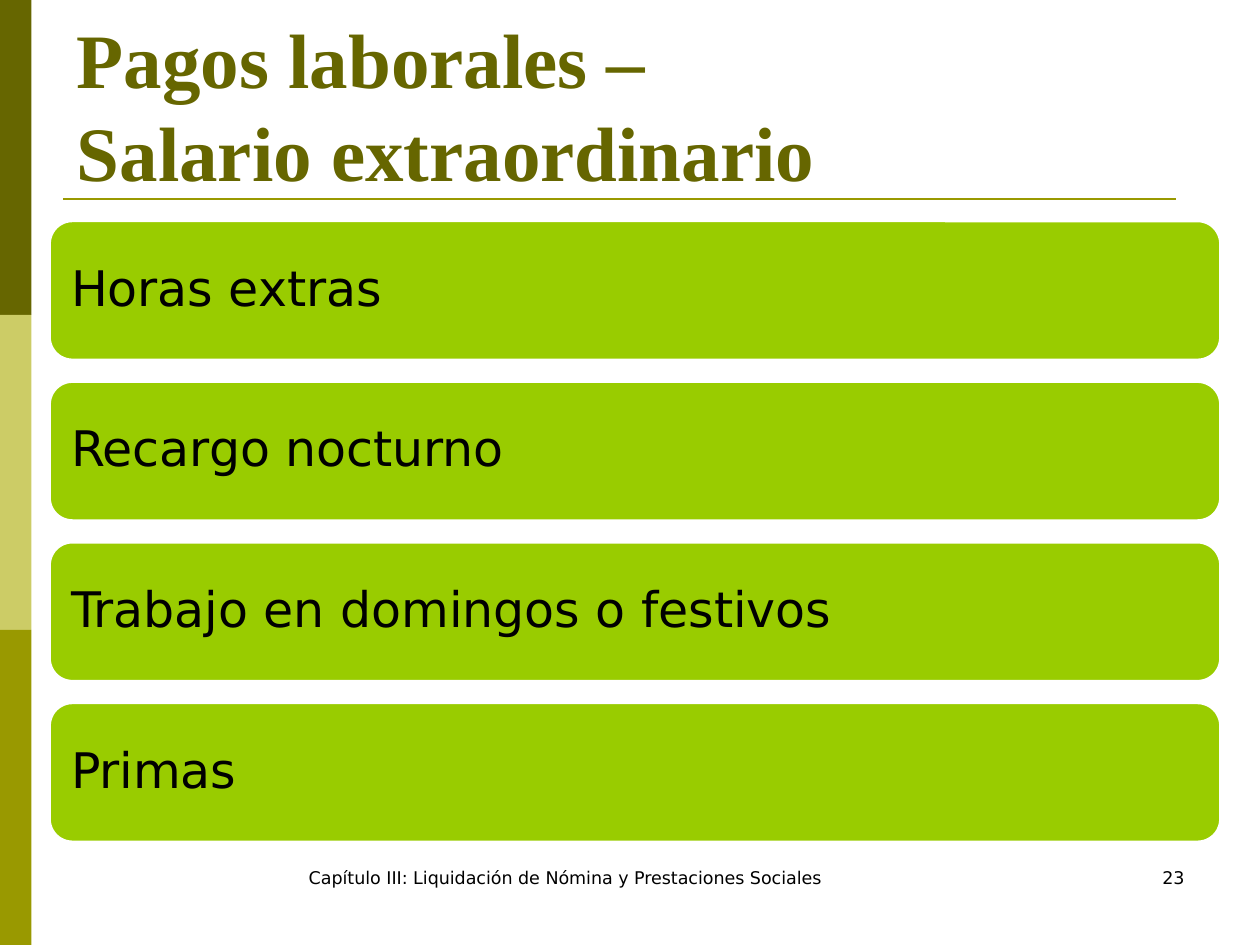
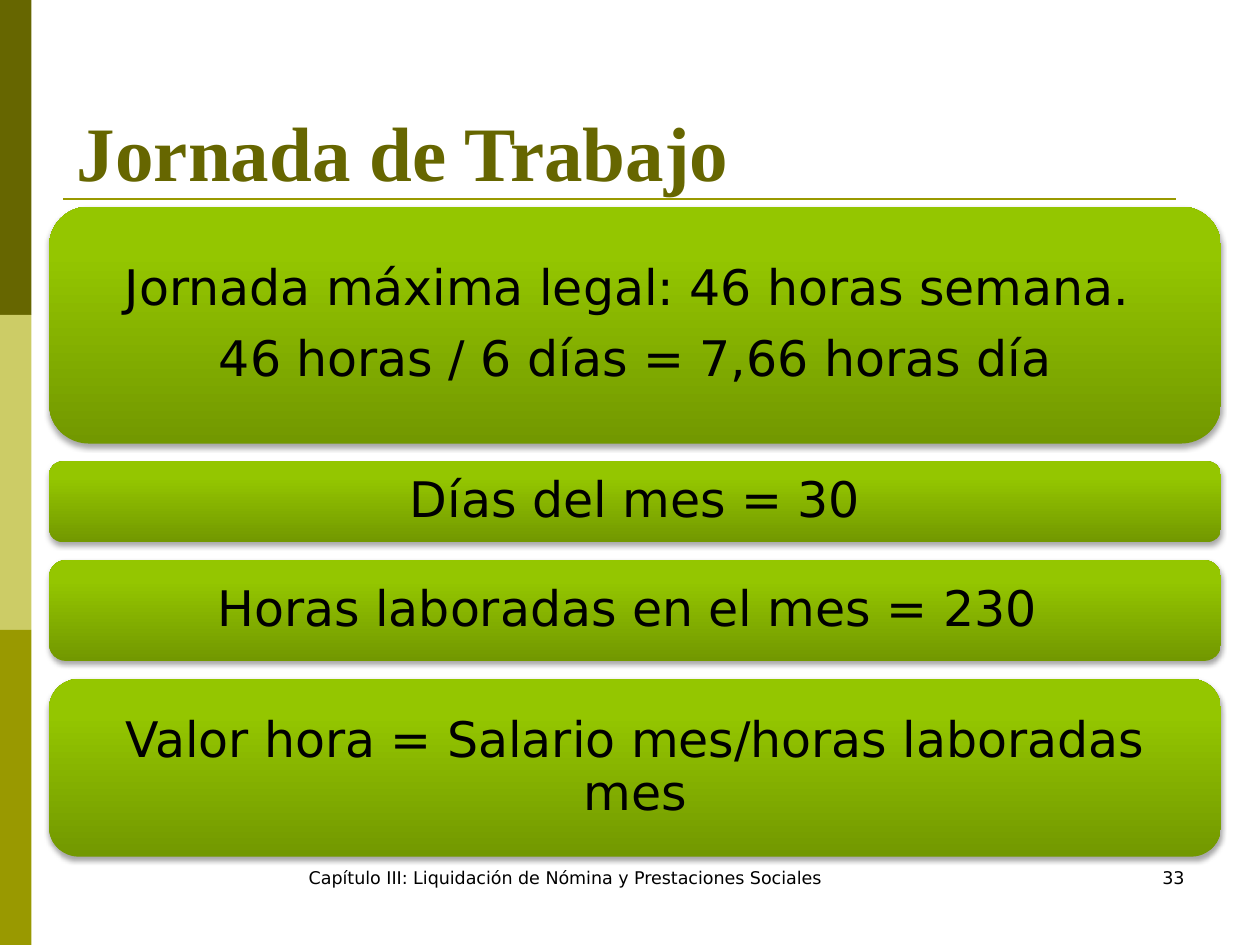
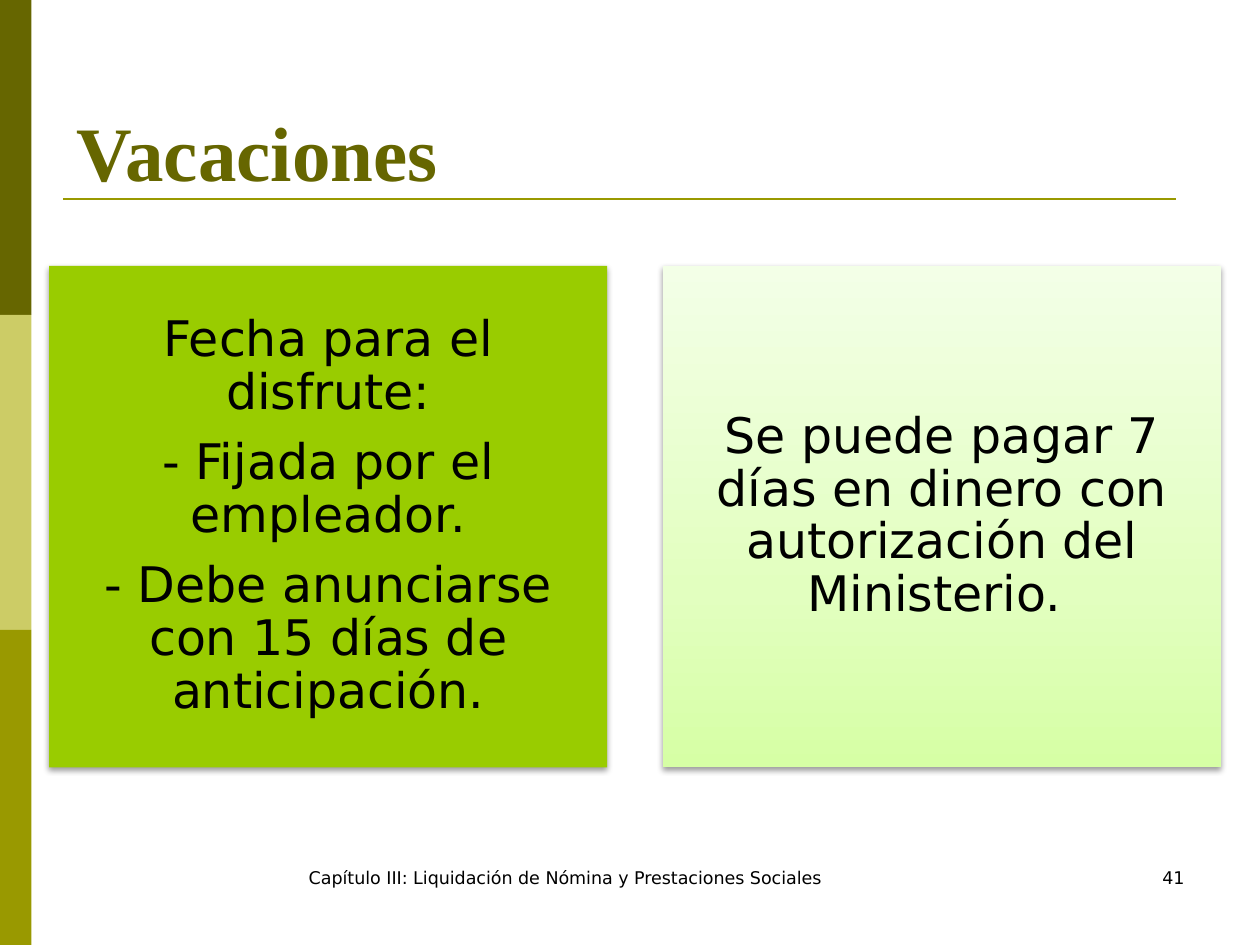
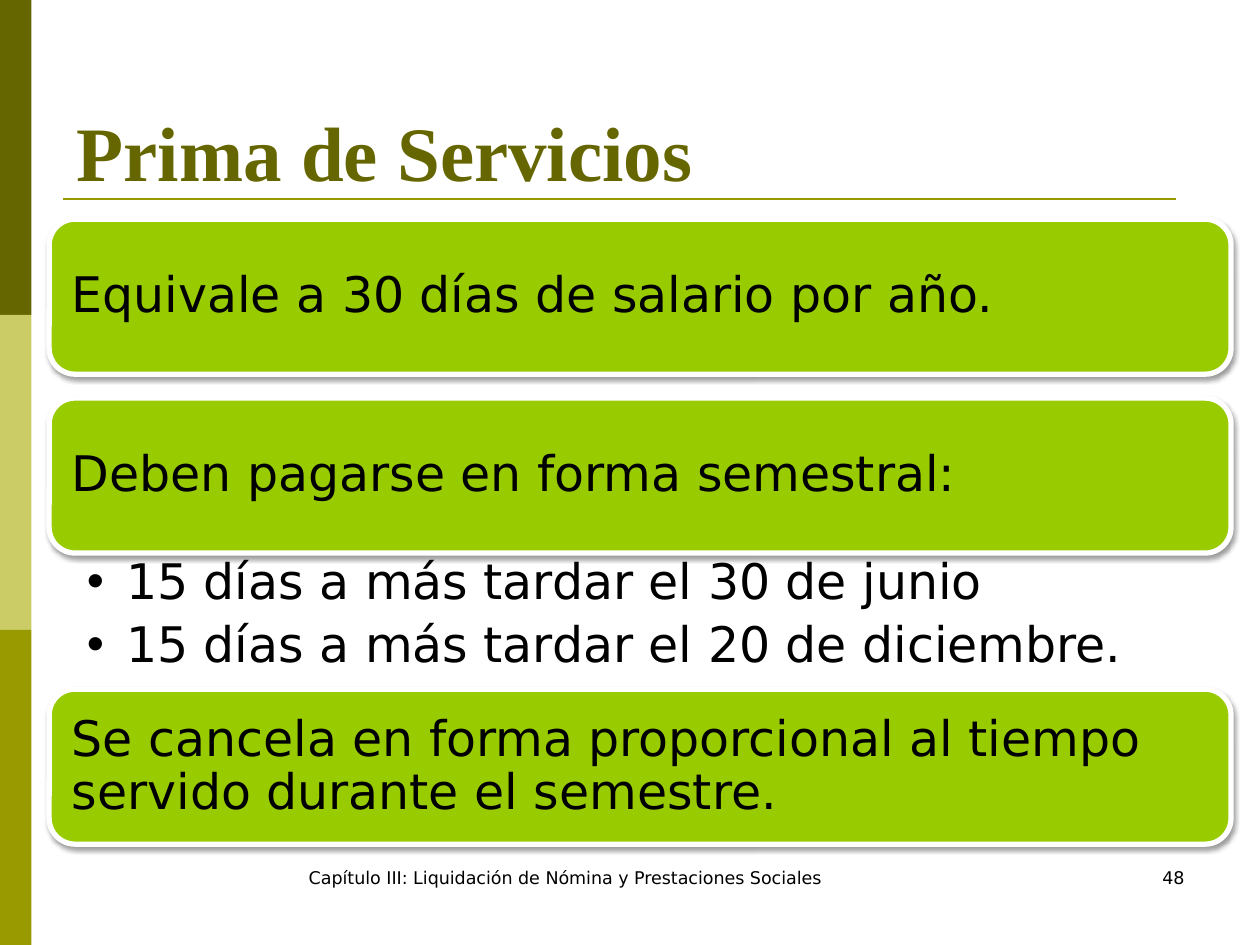
from lxml.etree import SubElement
from pptx import Presentation
from pptx.dml.color import RGBColor
from pptx.enum.shapes import MSO_CONNECTOR, MSO_SHAPE
from pptx.enum.text import MSO_ANCHOR, MSO_AUTO_SIZE, PP_ALIGN
from pptx.oxml.ns import qn
from pptx.util import Inches, Pt

HUES = {
    "dark": "666600", "pale": "CCCC66", "olive": "999900",
    "lime": "99CC00", "white": "FFFFFF", "black": "000000",
}
FADES = {
    "moss": [(0, "729800"), (80, "94C600"), (100, "95C700")],
    "mint": [(0, "D6FFA5"), (35, "E2FFBF"), (100, "F3FFE7")],
}
SANS, SERIF = "DejaVu Sans", "Times New Roman"
LEFT, WIDE = 3.9, 93
FOOTER = "Capítulo III: Liquidación de Nómina y Prestaciones Sociales"


class Deck:
    def __init__(self):
        self.show = Presentation()
        self.show.slide_width, self.show.slide_height = Inches(10), Inches(7.5)
        self.col = self.show.slide_width / 100
        self.row = self.show.slide_height / 75
        self.slide = None

    def place(self, x, y, w, h):
        return [round(n) for n in (x * self.col, y * self.row, w * self.col, h * self.row)]

    def hue(self, name):
        return RGBColor.from_string(HUES[name])

    def page(self, title, number, layout=5):
        first = self.slide is None
        self.slide = self.show.slides.add_slide(self.show.slide_layouts[layout])
        if first:
            self.frame()
        self.title(title)
        self.note(FOOTER, 18.7, 52.3, PP_ALIGN.CENTER)
        self.note(number, 71.7, 23.3, PP_ALIGN.RIGHT)

    def frame(self):
        parts = [self.shape(MSO_SHAPE.RECTANGLE, (0, 25 * i, 2.5, 25), name)
                 for i, name in enumerate(("dark", "pale", "olive"))]
        x, y, right, _ = self.place(5, 15.8, 93.3, 0)
        rule = self.slide.shapes.add_connector(MSO_CONNECTOR.STRAIGHT, x, y, right, y)
        rule.line.color.rgb = self.hue("olive")
        rule.line.width = Pt(1.5)
        SubElement(rule.element.spPr, qn("a:effectLst"))
        tree = self.show.slide_master.shapes.element
        for i, part in enumerate(parts + [rule]):
            part.element.find(".//" + qn("p:cNvPr")).set("id", str(20 + i))
            tree.insert(2 + i, part.element)

    def title(self, text):
        box = self.slide.shapes.title
        self.move(box, 5.1, 3.6, 90, 12.5)
        self.label(box, text, 44, SERIF, "dark", bold=True)
        box.text_frame.vertical_anchor = MSO_ANCHOR.BOTTOM

    def move(self, item, *area):
        item.left, item.top, item.width, item.height = self.place(*area)

    def label(self, item, text, size=28, face=SANS, tone="black",
              align=PP_ALIGN.LEFT, bold=False, after=0, pitch=1.0):
        frame = item.text_frame
        frame.text = text
        frame.word_wrap = True
        frame.auto_size = MSO_AUTO_SIZE.NONE
        for para in frame.paragraphs:
            para.alignment = align
            para.line_spacing = pitch
            para.space_before, para.space_after = Pt(0), Pt(after)
            for run in para.runs:
                font = run.font
                font.size, font.name, font.bold = Pt(size), face, bold
                font.color.rgb = self.hue(tone)

    def inset(self, item, left, top, right, base):
        frame = item.text_frame
        frame.margin_left, frame.margin_top = Inches(left), Inches(top)
        frame.margin_right, frame.margin_bottom = Inches(right), Inches(base)

    def note(self, text, x, w, align):
        box = self.slide.shapes.add_textbox(*self.place(x, 68.3, w, 5))
        self.label(box, text, 10, align=align)

    def shape(self, kind, area, paint, edge=0, shade=None):
        item = self.slide.shapes.add_shape(kind, *self.place(*area))
        if paint in FADES:
            self.fade(item, FADES[paint])
        else:
            item.fill.solid()
            item.fill.fore_color.rgb = self.hue(paint)
        if edge:
            item.line.color.rgb = self.hue("white")
            item.line.width = Pt(edge)
        else:
            item.line.fill.background()
        item.shadow.inherit = False
        if shade:
            self.shade(item, *shade)
        return item

    def fade(self, item, stops):
        item.fill.gradient()
        item.fill.gradient_angle = 90
        group = item.element.spPr.find(".//" + qn("a:gsLst"))
        group.clear()
        for spot, code in stops:
            stop = SubElement(group, qn("a:gs"), pos=str(spot * 1000))
            SubElement(stop, qn("a:srgbClr"), val=code)

    def shade(self, item, alpha, drop):
        group = item.element.spPr.find(qn("a:effectLst"))
        cast = SubElement(group, qn("a:outerShdw"), blurRad=str(Pt(3.1)), dist=str(Pt(drop)),
                          dir="5400000", rotWithShape="0")
        tint = SubElement(cast, qn("a:srgbClr"), val=HUES["black"])
        SubElement(tint, qn("a:alpha"), val=str(alpha * 1000))

    def card(self, text, area, paint="lime", kind=MSO_SHAPE.ROUNDED_RECTANGLE,
             align=PP_ALIGN.LEFT, edge=0, shade=None):
        item = self.shape(kind, area, paint, edge, shade)
        self.label(item, text, align=align, after=9.8, pitch=0.9)
        self.inset(item, 0.12, 0.12, 0.12, 0.12)
        item.text_frame.vertical_anchor = MSO_ANCHOR.MIDDLE

    def stack(self, cards, top, gap, wide=WIDE, **style):
        for text, high in cards:
            self.card(text, (LEFT, top, wide, high), **style)
            top += high + gap

    def points(self, text, *area):
        body = self.slide.placeholders[1]
        self.move(body, *area)
        self.label(body, text, after=5.6, pitch=0.9)
        self.inset(body, 0.3, 0.04, 0.22, 0.04)
        body.text_frame.vertical_anchor = MSO_ANCHOR.TOP
        for para in body.text_frame.paragraphs:
            props = para._p.get_or_add_pPr()
            props.set("marL", str(Inches(0.31)))
            props.set("indent", str(-Inches(0.31)))
            SubElement(props, qn("a:buChar"), char="•")


def main():
    deck = Deck()

    deck.page("Pagos laborales – \vSalario extraordinario", "23")
    names = ("Horas extras", "Recargo nocturno", "Trabajo en domingos o festivos", "Primas")
    deck.stack([(name, 11.1) for name in names], 17.5, 1.65, edge=2)

    deck.page("Jornada de Trabajo", "33")
    hours = [
        ("Jornada máxima legal: 46 horas semana. \n46 horas / 6 días = 7,66 horas día", 18.8),
        ("Días del mes = 30", 6.4),
        ("Horas laboradas en el mes = 230 ", 8),
        ("Valor hora = Salario mes/horas laboradas mes", 14.1),
    ]
    deck.stack(hours, 16.4, 1.43, paint="moss", align=PP_ALIGN.CENTER, shade=(35, 1.8))

    deck.page("Vacaciones", "41")
    rules = [
        ("Fecha para el disfrute:\n- Fijada por el empleador.\n"
         "- Debe anunciarse con 15 días de anticipación.", "lime"),
        ("Se puede pagar 7 días en dinero con autorización del Ministerio. ", "mint"),
    ]
    for i, (text, paint) in enumerate(rules):
        deck.card(text, (LEFT + 48.7 * i, 21.1, 44.3, 39.8), paint, MSO_SHAPE.RECTANGLE,
                  PP_ALIGN.CENTER, shade=(38, 1.6))

    deck.page("Prima de Servicios", "48", layout=1)
    wide, high = 93.8, 12.3
    look = {"edge": 3, "shade": (38, 1.6)}
    terms = ("Equivale a 30 días de salario por año.", "Deben pagarse en forma semestral:")
    deck.stack([(term, high) for term in terms], 17.4, 1.9, wide, **look)
    deck.points("15 días a más tardar el 30 de junio\n15 días a más tardar el 20 de diciembre.",
                LEFT, 43.8, wide, 10.9)
    deck.card("Se cancela en forma proporcional al tiempo servido durante el semestre.",
              (LEFT, 54.7, wide, high), **look)

    deck.show.save("out.pptx")


if __name__ == "__main__":
    main()
